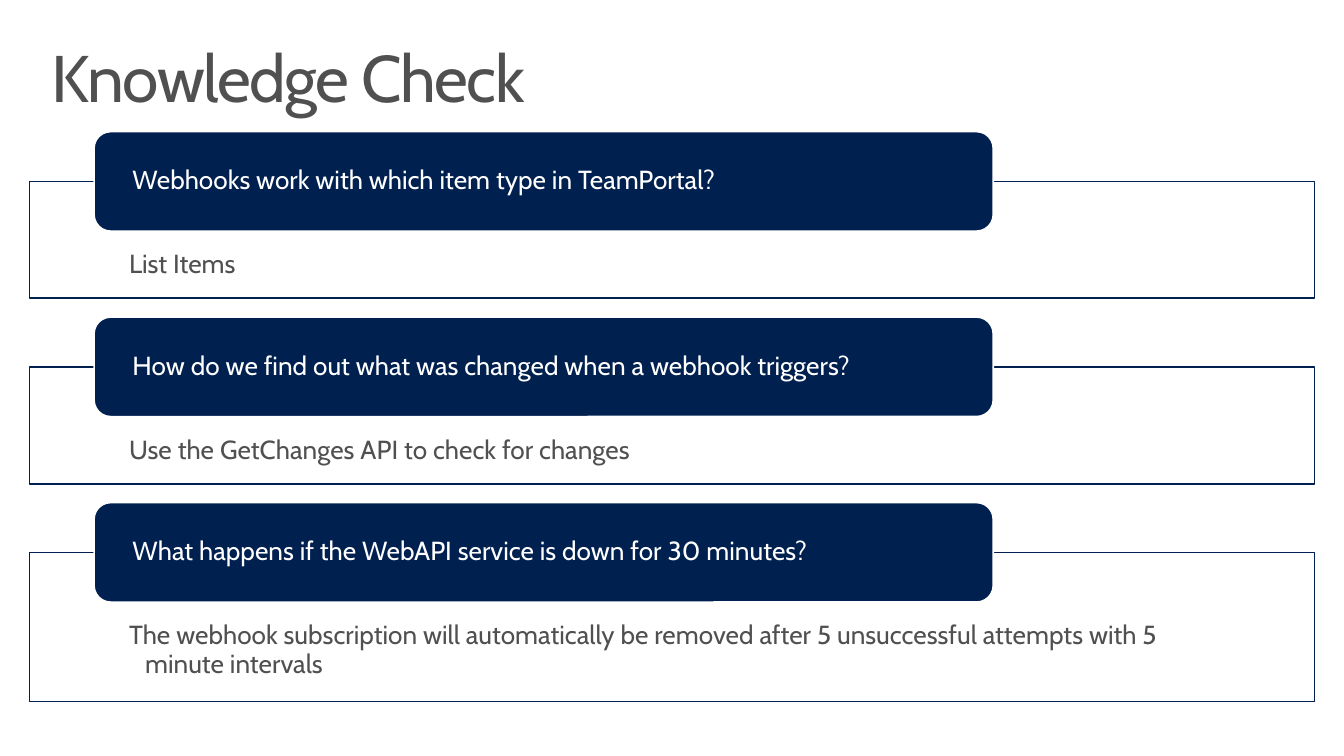
"""Build the Knowledge Check slide: three questions, each with its answer."""
from lxml.etree import SubElement
from pptx import Presentation
from pptx.dml.color import RGBColor
from pptx.enum.shapes import MSO_SHAPE as Shape
from pptx.enum.text import MSO_ANCHOR as Anchor, PP_ALIGN as Align
from pptx.oxml.ns import qn
from pptx.util import Inches, Pt

COLORS = {"navy": "002050", "white": "FFFFFF", "gray": "505050"}
QUESTIONS = [
    ("Webhooks work with which item type in TeamPortal?", "List Items", 0.87),
    ("How do we find out what was changed when a webhook triggers?",
     "Use the GetChanges API to check for changes", 0.87),
    ("What happens if the WebAPI service is down for 30 minutes?",
     "The webhook subscription will automatically be removed after 5 "
     "unsuccessful attempts with 5 minute intervals", 1.11),
]
FIRST_TOP, STEP, OVERLAP = 1.35, 1.38, 0.37


def write_text(box, text, size, color, margins, anchor):
    frame = box.text_frame
    frame.word_wrap = True
    frame.vertical_anchor = anchor
    (frame.margin_left, frame.margin_top,
     frame.margin_right, frame.margin_bottom) = map(Inches, margins)
    para = frame.paragraphs[0]
    para.alignment = Align.LEFT
    para.line_spacing = 0.9
    span = para.add_run()
    span.text = text
    span.font.name = "Cabin"
    span.font.size = Pt(size)
    span.font.color.rgb = RGBColor.from_string(COLORS[color])
    return para, span


def add_panel(page, kind, bounds, fill, line):
    panel = page.shapes.add_shape(kind, *map(Inches, bounds))
    panel.shadow.inherit = False
    panel.fill.solid()
    panel.fill.fore_color.rgb = RGBColor.from_string(COLORS[fill])
    panel.line.color.rgb = RGBColor.from_string(COLORS[line])
    panel.line.width = Pt(0.85)
    return panel


deck = Presentation()
deck.slide_width, deck.slide_height = Inches(10), Inches(10 * 9 / 16)
page = deck.slides.add_slide(deck.slide_layouts[6])

for row, (question, answer, height) in enumerate(QUESTIONS):
    top = FIRST_TOP + row * STEP
    answer_box = add_panel(page, Shape.RECTANGLE, (0.22, top, 9.56, height), "white", "navy")
    fill_color = answer_box.fill._xPr.find(qn("a:solidFill"))[0]
    SubElement(fill_color, qn("a:alpha"), val="90000")
    para, span = write_text(answer_box, answer, 14, "gray", (0.74, 0.52, 0.74, 0.11), Anchor.TOP)
    para.level = 1
    indent = para._p.get_or_add_pPr()
    indent.set("marL", str(Inches(0.12)))
    indent.set("indent", str(Inches(-0.12)))

    question_box = add_panel(page, Shape.ROUNDED_RECTANGLE,
                             (0.7, top - OVERLAP, 6.69, 0.74), "navy", "white")
    write_text(question_box, question, 14, "white", (0.25, 0, 0.25, 0), Anchor.MIDDLE)

title = page.shapes.add_textbox(*map(Inches, (0.22, 0.24, 9.56, 0.74)))
para, span = write_text(title, "Knowledge Check", 35.3, "gray", (0.16, 0.1, 0.16, 0.1), Anchor.TOP)
span.font._element.set("spc", "-80")

deck.save("out.pptx")
